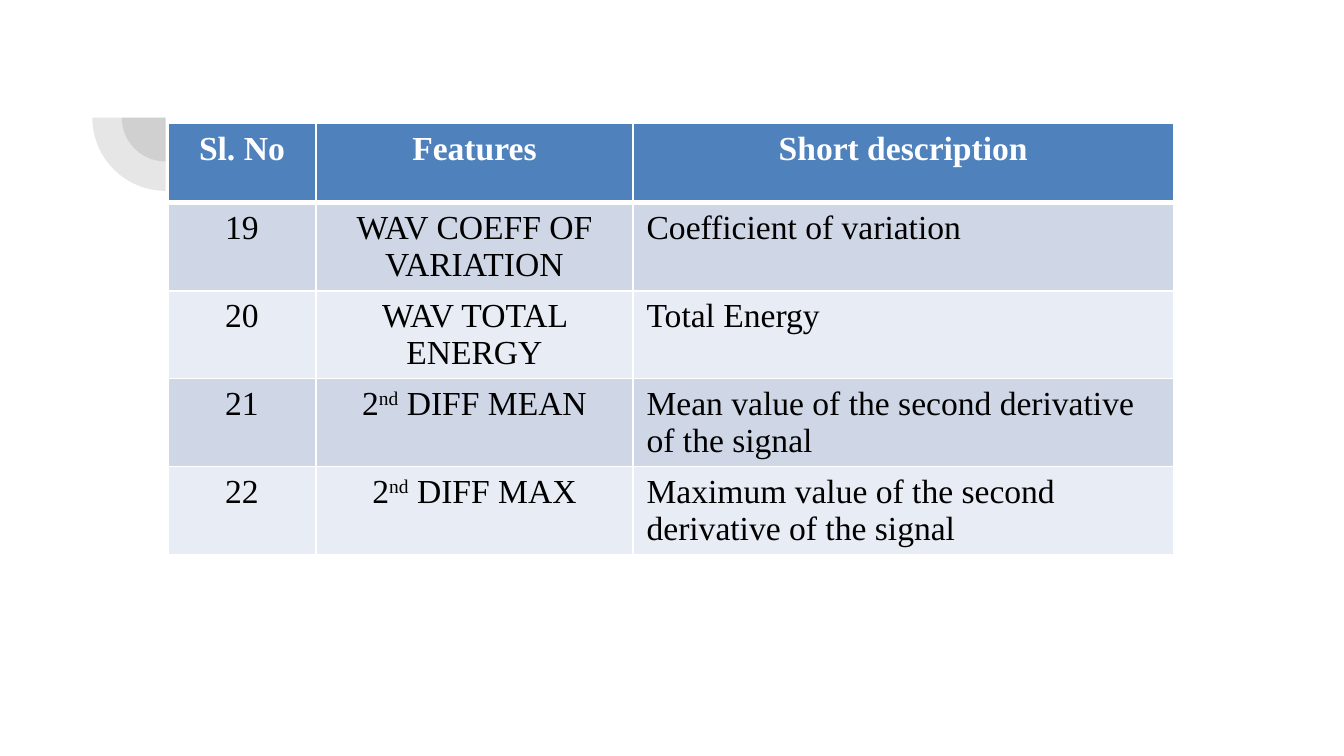
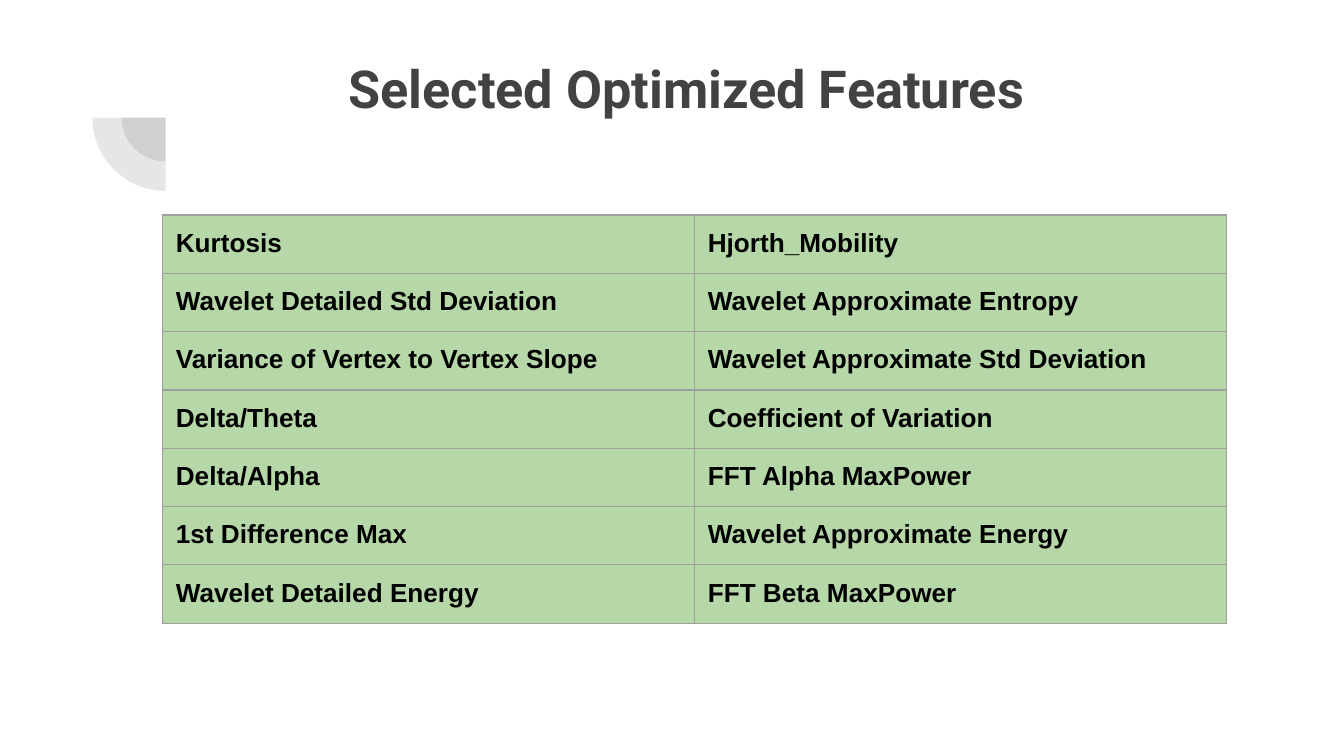
"""Build two slides of signal feature tables."""
from lxml.etree import SubElement
from pptx import Presentation
from pptx.dml.color import RGBColor
from pptx.enum.shapes import MSO_SHAPE
from pptx.enum.text import MSO_ANCHOR, PP_ALIGN
from pptx.oxml.ns import qn
from pptx.util import Pt

GRAY, BLACK, WHITE = "424242", "000000", "FFFFFF"
HEADER_BLUE, BAND_DARK, BAND_LIGHT = "4F81BD", "CFD7E7", "E8ECF4"
GREEN, GRID_GRAY = "B6D7A8", "9E9E9E"


def paint(target, color):
    target.fill.solid()
    target.fill.fore_color.rgb = RGBColor.from_string(color)


def add_grid(slide, left, top, widths, row_height, rows, font_name, size,
             margin, border_color, border_width, has_header):
    table = slide.shapes.add_table(len(rows), len(widths), Pt(left), Pt(top),
                                   Pt(sum(widths)), Pt(row_height * len(rows))).table
    table.first_row, table.horz_banding = has_header, False
    for column, width in zip(table.columns, widths):
        column.width = Pt(width)
    for i, values in enumerate(rows):
        table.rows[i].height = Pt(row_height)
        for j, value in enumerate(values):
            is_header = has_header and i == 0
            cell = table.cell(i, j)
            cell.margin_left = cell.margin_right = Pt(7.2)
            cell.margin_top = cell.margin_bottom = Pt(margin)
            properties = cell._tc.get_or_add_tcPr()
            for side in "LRTB":
                thick = has_header and (i, side) in ((0, "B"), (1, "T"))
                line = SubElement(properties, qn(f"a:ln{side}"),
                                  w=str(Pt(3 if thick else border_width)))
                SubElement(SubElement(line, qn("a:solidFill")), qn("a:srgbClr"),
                           val=border_color)
            if is_header:
                paint(cell, HEADER_BLUE)
            elif has_header:
                paint(cell, BAND_DARK if i % 2 else BAND_LIGHT)
            else:
                paint(cell, GREEN)
            paragraph = cell.text_frame.paragraphs[0]
            for k, part in enumerate(value.split("^")):
                run = paragraph.add_run()
                run.text = part
                if k == 1:
                    run._r.get_or_add_rPr().set("baseline", "30000")
            if has_header and (is_header or j < 2):
                paragraph.alignment = PP_ALIGN.CENTER
            font = paragraph.font
            font.name, font.size = font_name, Pt(size)
            font.bold = is_header or not has_header
            font.color.rgb = RGBColor.from_string(WHITE if is_header else BLACK)


presentation = Presentation()
presentation.slide_width, presentation.slide_height = Pt(720), Pt(405)
slides = [presentation.slides.add_slide(presentation.slide_layouts[6]) for _ in range(2)]

for slide in slides:
    for diameter in (47, 78.5):
        pie = slide.shapes.add_shape(MSO_SHAPE.PIE, Pt(88.75 - diameter / 2),
                                     Pt(63 - diameter / 2), Pt(diameter), Pt(diameter))
        pie.adjustments[0], pie.adjustments[1] = 108, 162
        pie.rotation = 270
        pie.shadow.inherit = False
        pie.line.fill.background()
        paint(pie, GRAY)
        color = pie._element.spPr.find(qn("a:solidFill"))[0]
        SubElement(color, qn("a:alpha"), val="13000")

feature_slide, selection_slide = slides

feature_rows = [
    ("Sl. No", "Features", "Short description"),
    ("19", "WAV COEFF OF VARIATION", "Coefficient of variation"),
    ("20", "WAV TOTAL ENERGY", "Total Energy"),
    ("21", "2^nd^ DIFF MEAN", "Mean value of the second derivative of the signal"),
    ("22", "2^nd^ DIFF MAX", "Maximum value of the second derivative of the signal"),
]
add_grid(feature_slide, 90, 66.2, (79.2, 170, 289.4), 42.5, feature_rows,
         "Times New Roman", 18, 3.6, WHITE, 1, True)

title = selection_slide.shapes.add_textbox(Pt(90.7), Pt(23), Pt(553.7), Pt(78.5))
title_frame = title.text_frame
title_frame.word_wrap = True
title_frame.vertical_anchor = MSO_ANCHOR.TOP
title_frame.margin_left = title_frame.margin_right = Pt(7.2)
title_frame.margin_top = title_frame.margin_bottom = Pt(7.2)
paragraph = title_frame.paragraphs[0]
paragraph.text = "Selected Optimized Features"
paragraph.alignment = PP_ALIGN.CENTER
paragraph.font.name, paragraph.font.size, paragraph.font.bold = "Roboto", Pt(28), True
paragraph.font.color.rgb = RGBColor.from_string(GRAY)

selected_rows = [
    ("Kurtosis", "Hjorth_Mobility"),
    ("Wavelet Detailed Std Deviation", "Wavelet Approximate Entropy"),
    ("Variance of Vertex to Vertex Slope", "Wavelet Approximate Std Deviation"),
    ("Delta/Theta", "Coefficient of Variation"),
    ("Delta/Alpha", "FFT Alpha MaxPower"),
    ("1st Difference Max", "Wavelet Approximate Energy"),
    ("Wavelet Detailed Energy", "FFT Beta MaxPower"),
]
add_grid(selection_slide, 87, 115.2, (285, 285), 30.2, selected_rows,
         "Arial", 14, 7.2, GRID_GRAY, 0.75, False)

presentation.save("out.pptx")
